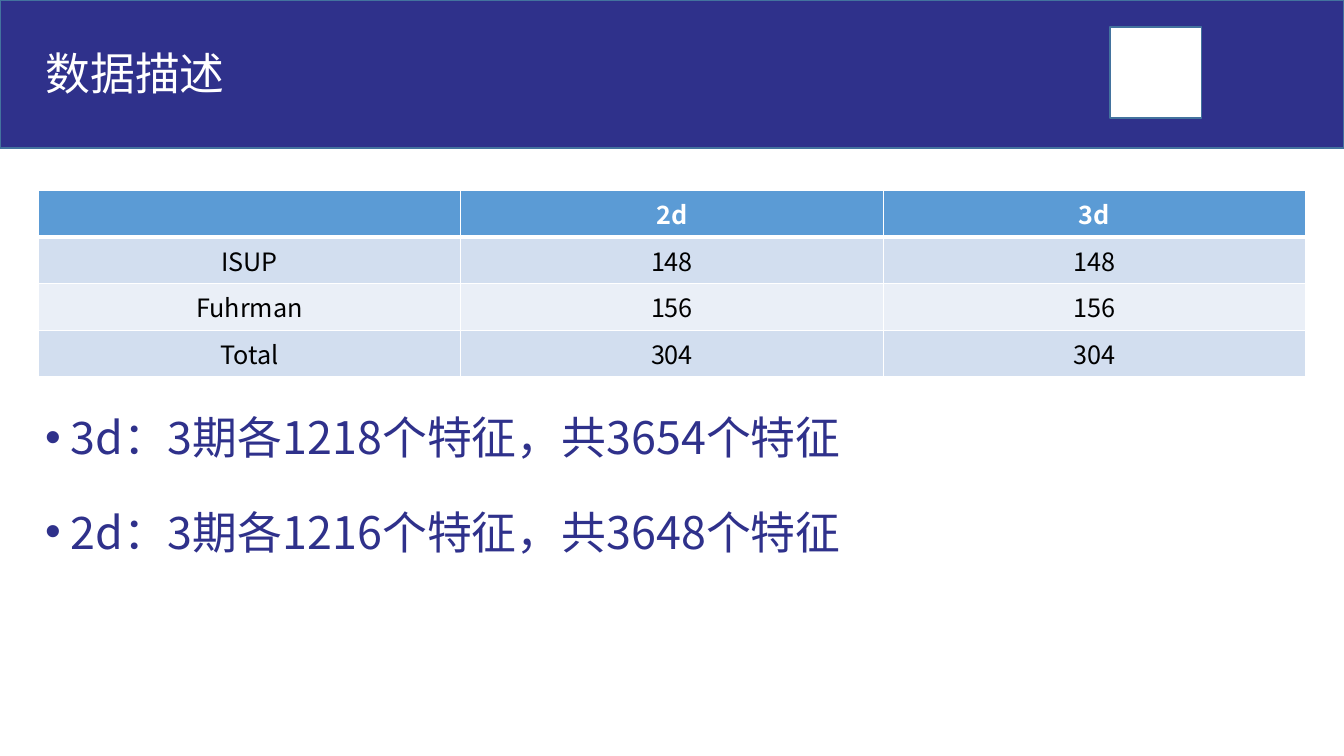
import pptx
import pptx.util
import pptx.dml.color
import pptx.enum.shapes
import pptx.enum.text
import pptx.oxml.ns
from lxml import etree
from pptx.util import Inches

FONT = "Noto Sans CJK SC"
COLORS = {
    "navy": "2F318B",
    "edge": "43739E",
    "white": "FFFFFF",
    "black": "000000",
    "head": "5B9BD5",
    "odd": "D2DEEF",
    "even": "EAEFF7",
}
ROWS = [
    ["", "2d", "3d"],
    ["ISUP", "148", "148"],
    ["Fuhrman", "156", "156"],
    ["Total", "304", "304"],
]
NOTES = ["3d：3期各1218个特征，共3654个特征", "2d：3期各1216个特征，共3648个特征"]


def rgb(name):
    return pptx.dml.color.RGBColor.from_string(COLORS[name])


def add(parent, tag, **attrs):
    return etree.SubElement(parent, pptx.oxml.ns.qn(tag), **attrs)


def style(para, size, color, bold=False):
    for run in para.runs:
        font = run.font
        font.size = pptx.util.Pt(size)
        font.bold = bold
        font.color.rgb = rgb(color)
        font.name = FONT
        add(run._r.get_or_add_rPr(), "a:ea", typeface=FONT)


def place(shape, left, top, width, height):
    shape.left, shape.top = Inches(left), Inches(top)
    shape.width, shape.height = Inches(width), Inches(height)


def add_rect(slide, box, fill):
    rect = slide.shapes.add_shape(
        pptx.enum.shapes.MSO_SHAPE.RECTANGLE, *map(Inches, box))
    rect.shadow.inherit = False
    rect.fill.solid()
    rect.fill.fore_color.rgb = rgb(fill)
    rect.line.color.rgb = rgb("edge")
    rect.line.width = pptx.util.Pt(1)


def set_title(slide, text):
    title = slide.shapes.title
    place(title, 0.35, 0.33, 10.35, 0.84)
    # Bring the title in front of the band
    slide.shapes._spTree.append(title._element)
    frame = title.text_frame
    frame.text = text
    frame.word_wrap = True
    frame.vertical_anchor = pptx.enum.text.MSO_ANCHOR.MIDDLE
    para = frame.paragraphs[0]
    para.alignment = pptx.enum.text.PP_ALIGN.LEFT
    para.line_spacing = 0.9
    style(para, 32, "white")


def set_edges(cell, top, bottom):
    props = cell._tc.get_or_add_tcPr()
    for side, width in (("L", 1), ("R", 1), ("T", top), ("B", bottom)):
        line = add(props, "a:ln" + side, w=str(pptx.util.Pt(width)))
        add(add(line, "a:solidFill"), "a:srgbClr", val=COLORS["white"])


def add_grid(slide, rows):
    table = slide.shapes.add_table(
        len(rows), len(rows[0]), Inches(0.38), Inches(1.89),
        Inches(12.57), Inches(1.62)).table
    for r, row in enumerate(rows):
        head = r == 0
        fill = "head" if head else "odd" if r % 2 else "even"
        for c, text in enumerate(row):
            cell = table.cell(r, c)
            set_edges(cell, 3 if r == 1 else 1, 3 if head else 1)
            cell.fill.solid()
            cell.fill.fore_color.rgb = rgb(fill)
            cell.text_frame.text = text
            para = cell.text_frame.paragraphs[0]
            para.alignment = pptx.enum.text.PP_ALIGN.CENTER
            para.font.size = pptx.util.Pt(18)
            style(para, 18, "white" if head else "black", head)


def add_list(slide, items):
    box = slide.shapes.add_textbox(
        Inches(0.35), Inches(3.75), Inches(12.57), Inches(3.42))
    frame = box.text_frame
    frame.word_wrap = True
    frame.text = "\n".join(items)
    for para in frame.paragraphs:
        para.line_spacing = 1.5
        para.space_before = pptx.util.Pt(10)
        style(para, 32, "navy")
        props = para._p.get_or_add_pPr()
        props.set("marL", str(Inches(0.25)))
        props.set("indent", str(-Inches(0.25)))
        add(props, "a:buFont", typeface="Arial")
        add(props, "a:buChar", char="•")


def main():
    deck = pptx.Presentation()
    deck.slide_width, deck.slide_height = Inches(13.33), Inches(7.5)
    slide = deck.slides.add_slide(deck.slide_layouts[5])
    # Header band with an empty badge
    add_rect(slide, (0, 0, 13.33, 1.47), "navy")
    add_rect(slide, (11.01, 0.27, 0.91, 0.9), "white")
    set_title(slide, "数据描述")
    # Case counts and feature notes
    add_grid(slide, ROWS)
    add_list(slide, NOTES)
    deck.save("out.pptx")


if __name__ == "__main__":
    main()
